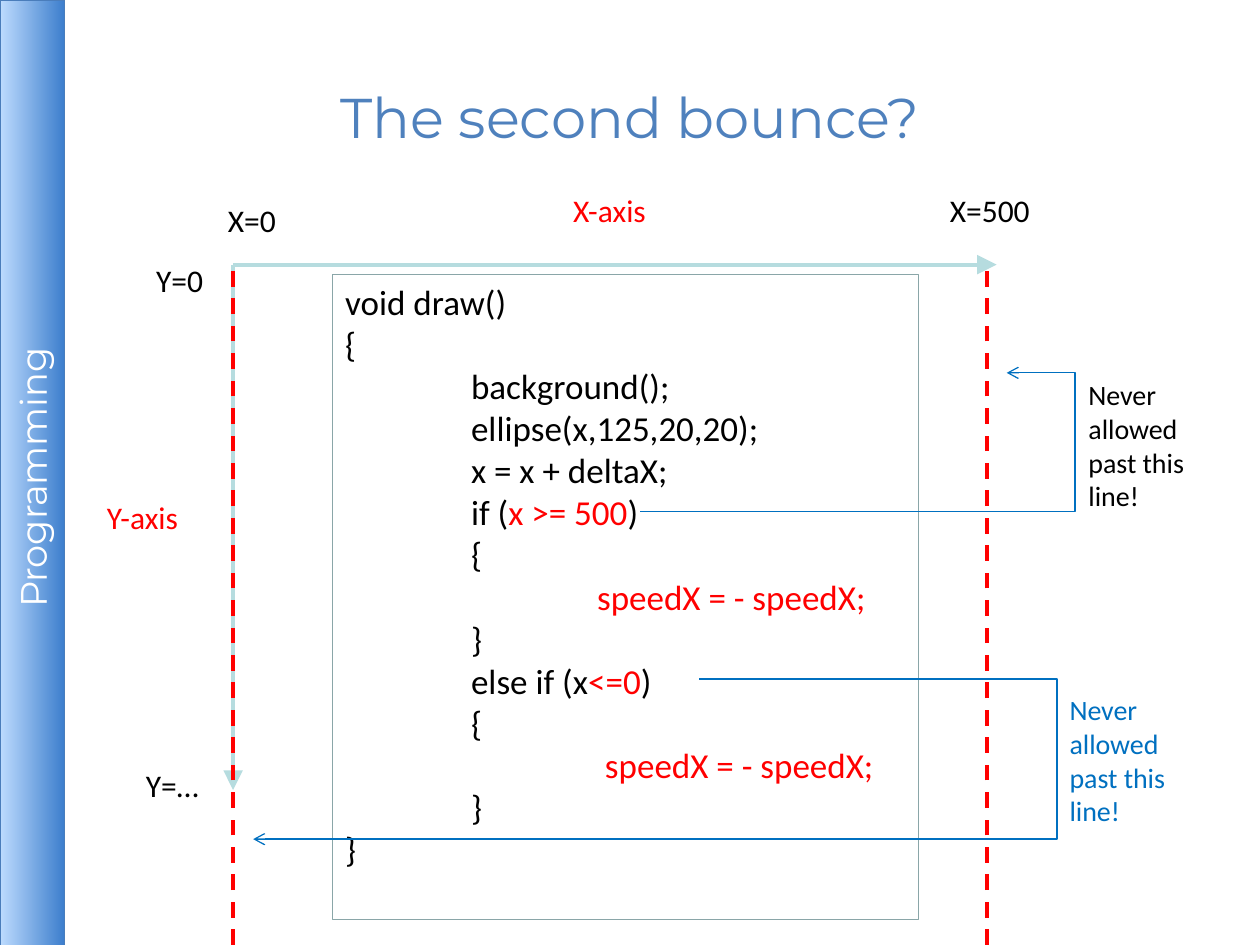
from lxml import etree
from pptx import Presentation
from pptx.dml.color import RGBColor
from pptx.enum.dml import MSO_LINE
from pptx.enum.shapes import MSO_CONNECTOR, MSO_SHAPE
from pptx.enum.text import MSO_ANCHOR, PP_ALIGN
from pptx.oxml.ns import qn
from pptx.util import Inches, Pt

STRAIGHT, ELBOW = MSO_CONNECTOR.STRAIGHT, MSO_CONNECTOR.ELBOW
RECTANGLE = MSO_SHAPE.RECTANGLE
DASH = MSO_LINE.DASH
MIDDLE, TOP = MSO_ANCHOR.MIDDLE, MSO_ANCHOR.TOP
CENTER, LEFT = PP_ALIGN.CENTER, PP_ALIGN.LEFT

BLACK, RED, BLUE, AXIS = "000000", "FF0000", "0070C0", "B6DCDF"
BODY, DISPLAY = "Calibri", "Montserrat"
LARGE_TRIANGLE = {"type": "triangle", "w": "lg", "len": "lg"}
OPEN_ARROW = {"type": "arrow"}


def color(value):
    return RGBColor.from_string(value)


class SlideBuilder:
    """Holds the style and the current slide."""

    def __init__(self, slide):
        self.slide = slide

    def style(self, font, size, value, name=BODY):
        font.name, font.size, font.color.rgb = name, Pt(size), color(value)

    def display_text(self, shape, text, size, value):
        frame = shape.text_frame
        frame.text = text
        frame.vertical_anchor = MIDDLE
        paragraph = frame.paragraphs[0]
        paragraph.alignment = CENTER
        self.style(paragraph.font, size, value, DISPLAY)

    def title(self, text, left, top, width, height):
        title = self.slide.shapes.title
        title.left, title.top = Inches(left), Inches(top)
        title.width, title.height = Inches(width), Inches(height)
        self.display_text(title, text, 32, "4F81BD")

    def rectangle(self, left, top, width, height, line):
        box = self.slide.shapes.add_shape(
            RECTANGLE, Inches(left), Inches(top), Inches(width), Inches(height))
        box.shadow.inherit = False
        box.line.color.rgb, box.line.width = color(line), Pt(0.75)
        return box

    def side_band(self, text):
        band = self.rectangle(-3.5, 3.5, 7.51, 0.51, "4A7DBB")
        band.rotation = 270
        band.fill.gradient()
        band.fill.gradient_angle = 270
        for stop, value in zip(band.fill.gradient_stops, ("BDDBFE", "3E7FCD")):
            stop.color.rgb = color(value)
        self.display_text(band, text, 21, "FFFFFF")
        # The text sits slightly below the middle of the band
        band.text_frame.margin_left, band.text_frame.margin_right = Inches(0.04), Inches(0.11)

    def label(self, text, left, top, width, height=0.4, size=18, value=BLACK):
        box = self.slide.shapes.add_textbox(
            Inches(left), Inches(top), Inches(width), Inches(height))
        frame = box.text_frame
        frame.word_wrap = True
        frame.text = text
        self.style(frame.paragraphs[0].font, size, value)

    def code(self, lines, left, top, width, height):
        """Each line is (text, red text, text after it)."""
        box = self.rectangle(left, top, width, height, "8AA6A8")
        box.fill.background()
        frame = box.text_frame
        frame.vertical_anchor = TOP
        for index, parts in enumerate(lines):
            para = frame.add_paragraph() if index else frame.paragraphs[0]
            para.alignment = LEFT
            para._p.get_or_add_pPr().set("defTabSz", str(Inches(1)))
            self.style(para.font, 20, BLACK)
            for part, value in zip(parts, (BLACK, RED, BLACK)):
                span = para.add_run()
                span.text = part
                span.font.color.rgb = color(value)

    def line(self, start, end, value, width=2.25, arrow=None, dash=None, bend=None):
        """A straight line, or an elbow whose upright part is at x = bend."""
        connector = self.slide.shapes.add_connector(
            STRAIGHT if bend is None else ELBOW,
            *(Inches(length) for length in (*start, *end)))
        connector.line.color.rgb, connector.line.width = color(value), Pt(width)
        if dash:
            connector.line.dash_style = dash
        properties = connector._element.spPr
        if arrow:
            etree.SubElement(connector.line._get_or_add_ln(), qn("a:tailEnd"), arrow)
        if bend is not None:
            ratio = (bend - start[0]) / (end[0] - start[0])
            guides = properties.find(qn("a:prstGeom")).find(qn("a:avLst"))
            etree.SubElement(guides, qn("a:gd"), name="adj1",
                             fmla=f"val {round(ratio * 100000)}")
        etree.SubElement(properties, qn("a:effectLst"))


def main():
    deck = Presentation()
    deck.slide_width, deck.slide_height = Inches(10), Inches(7.5)
    page = SlideBuilder(deck.slides.add_slide(deck.slide_layouts[5]))

    # Side band and title
    page.side_band("Programming")
    page.title("The second bounce?", 0.5, 0.3, 9, 1.25)

    # Axes and their labels
    origin = (1.85, 2.1)
    page.line(origin, (1.85, 6.27), AXIS, arrow=LARGE_TRIANGLE)
    page.line(origin, (7.91, 2.1), AXIS, arrow=LARGE_TRIANGLE)
    page.label("X=0", 1.71, 1.55, 0.63)
    page.label("X-axis", 4.45, 1.47, 1.18, value=RED)
    page.label("X=500", 7.44, 1.47, 0.87)
    page.label("Y=…", 1.06, 6.03, 0.94)
    page.label("Y=0", 1.14, 2.02, 0.87)
    page.label("Y-axis", 0.75, 3.9, 1.18, value=RED)

    # Limits the ball may not pass
    for limit in (7.83, 1.85):
        page.line((limit, 7.5), (limit, 2.1), RED, dash=DASH)

    # Program text
    page.code([
        ("void draw()",),
        ("{",),
        ("\tbackground();",),
        ("\tellipse(x,125,20,20);",),
        ("\tx = x + deltaX;",),
        ("\tif (", "x >= 500", ")"),
        ("\t{",),
        ("\t\t", "speedX = - speedX;"),
        ("\t}",),
        ("\telse if (x", "<=0", ")"),
        ("\t{",),
        ("\t\t ", "speedX = - speedX;"),
        ("\t}",),
        ("}",),
    ], 2.64, 2.18, 4.65, 5.12)

    # Arrows from the conditions to the limits, with notes
    warning = "Never allowed past this line!"
    page.line((5.08, 4.06), (7.99, 2.96), BLUE, 0.75, OPEN_ARROW, bend=8.53)
    page.label(warning, 8.54, 2.95, 1.14, 1.18, 16)
    page.line((5.55, 5.39), (2.01, 6.66), BLUE, 0.75, OPEN_ARROW, bend=8.39)
    page.label(warning, 8.39, 5.45, 1.1, 1.18, 16, BLUE)

    deck.save("out.pptx")


if __name__ == "__main__":
    main()
